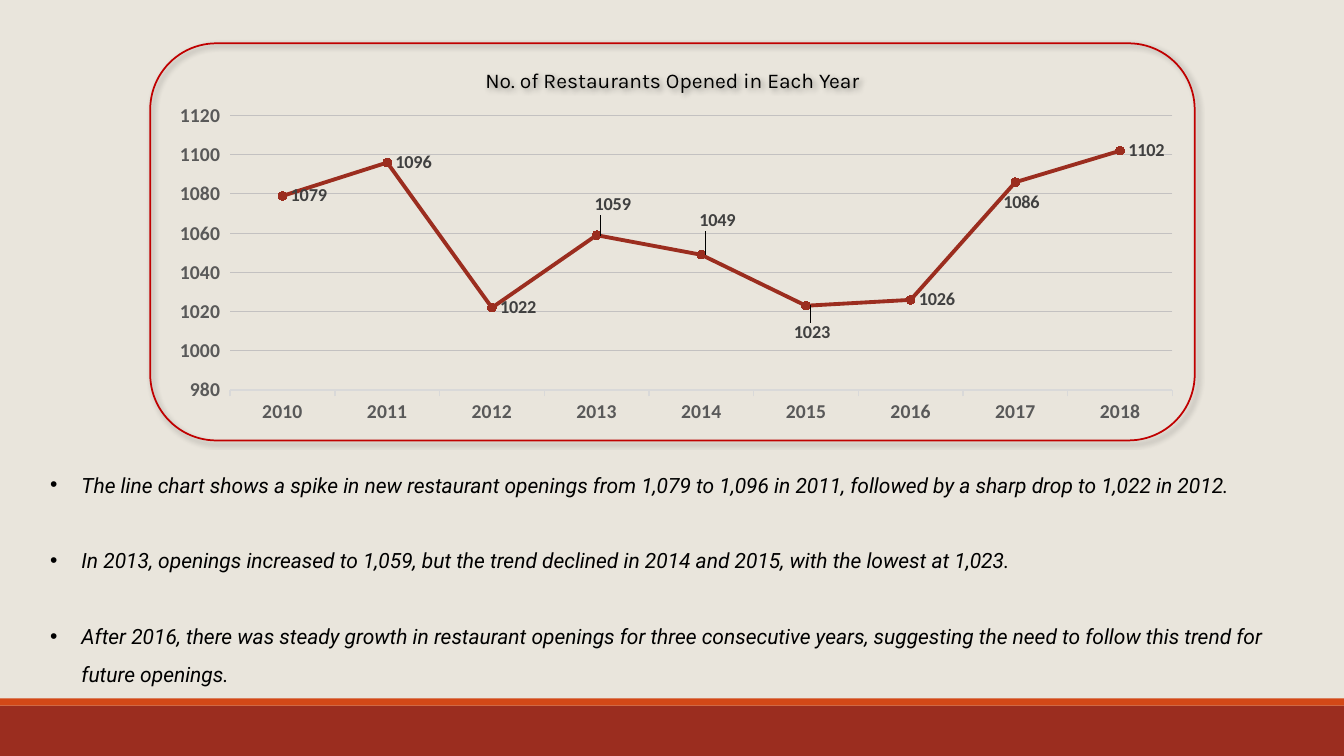
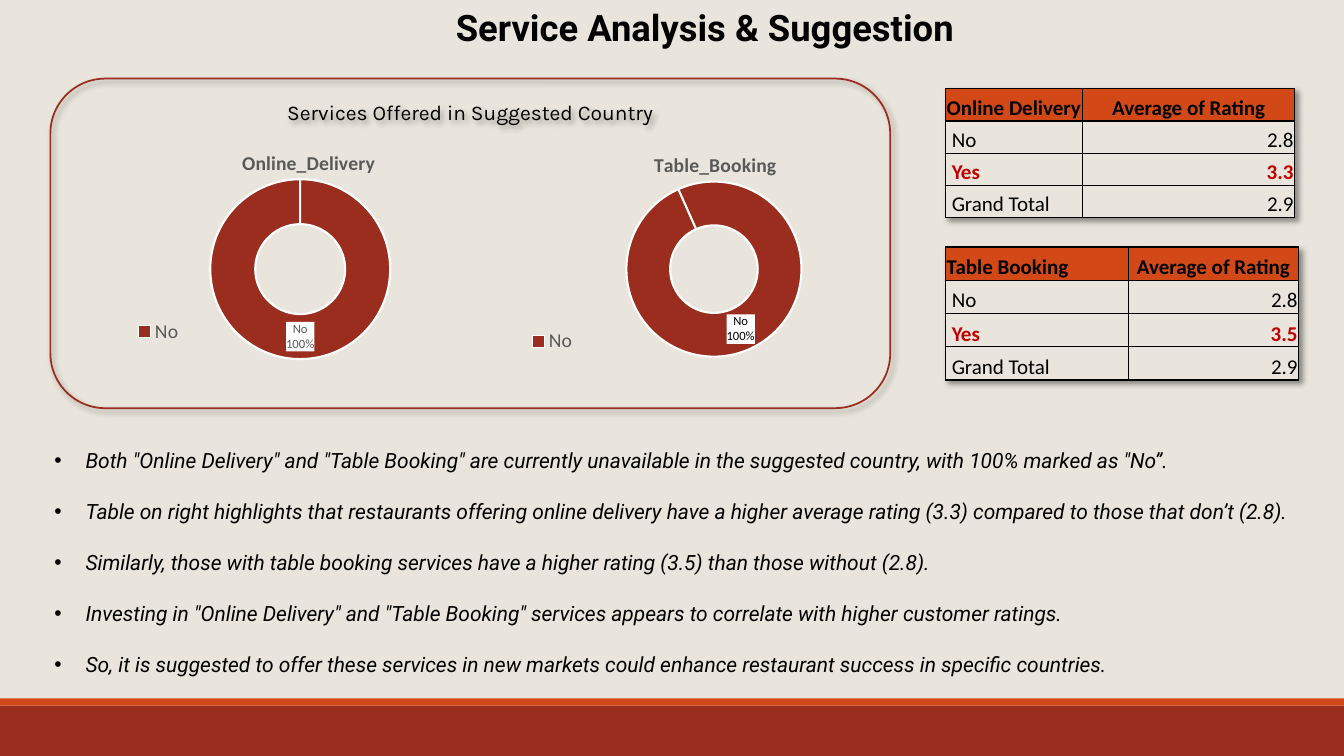
from lxml import etree
from pptx import Presentation
from pptx.chart.data import CategoryChartData
from pptx.dml.color import RGBColor
from pptx.enum.chart import XL_CHART_TYPE as Chart, XL_LABEL_POSITION as LabelSpot
from pptx.enum.chart import XL_LEGEND_POSITION as LegendSpot, XL_MARKER_STYLE as Marker
from pptx.enum.chart import XL_TICK_MARK as Tick
from pptx.enum.shapes import MSO_SHAPE as Shape
from pptx.enum.text import MSO_ANCHOR as Anchor, PP_ALIGN as Align
from pptx.oxml import parse_xml
from pptx.oxml.ns import nsdecls, qn
from pptx.util import Inches, Pt

WIDTH, HEIGHT = 13.33, 7.5
COLORS = {
    "paper": "E9E5DC", "brick": "9B2D1F", "orange": "D34817", "red": "C00000",
    "marker": "A12819", "ink": "000000", "gray": "595959", "label": "404040",
    "grid": "C3C1C1", "axis": "D9D9D9", "white": "FFFFFF",
}
BANDS = [(7, 0.5, "brick"), (6.93, 0.07, "orange")]

OPENINGS_TITLE = "No. of Restaurants Opened in Each Year"
OPENINGS = {
    "2010": 1079, "2011": 1096, "2012": 1022, "2013": 1059, "2014": 1049,
    "2015": 1023, "2016": 1026, "2017": 1086, "2018": 1102,
}
LABEL_SHIFTS = {"2013": (-0.01, -0.09), "2014": (-0.01, -0.1),
                "2015": (-0.02, 0.08), "2017": (-0.02, 0.06)}
OPENINGS_NOTES = [
    "The line chart shows a spike in new restaurant openings from 1,079 to 1,096 in 2011, followed by a sharp drop to 1,022 in 2012.",
    "In 2013, openings increased to 1,059, but the trend declined in 2014 and 2015, with the lowest at 1,023.",
    "After 2016, there was steady growth in restaurant openings for three consecutive years, suggesting the need to follow this trend for future openings.",
]

SERVICE_HEADING = "Service Analysis & Suggestion"
SERVICE_TITLE = "Services Offered in Suggested Country"
SERVICES = [
    dict(name="Online_Delivery", left=1.07, plot=(0.27, 0.18, 0.52, 0.75), start=0,
         title=(0.36, 0.04), legend=(0.07, 0.76, 0.14, 0.11), label="gray"),
    dict(name="Table_Booking", left=5.12, plot=(0.29, 0.19, 0.51, 0.73), start=336,
         title=(0.37, 0.05), legend=(0.03, 0.8, 0.14, 0.11), label="ink"),
]
RATINGS = [
    dict(service="Online Delivery", top=0.88, columns=(1.36, 2.1), row=0.32,
         ratings=[("No", "2.8"), ("Yes", "3.3"), ("Grand Total", "2.9")]),
    dict(service="Table Booking", top=2.45, columns=(1.81, 1.69), row=0.33,
         ratings=[("No", "2.8"), ("Yes", "3.5"), ("Grand Total", "2.9")]),
]
SERVICE_NOTES = [
    "Both \"Online Delivery\" and \"Table Booking\" are currently unavailable in the suggested country, with 100% marked as \"No”.",
    "Table on right highlights that restaurants offering online delivery have a higher average rating (3.3) compared to those that don’t (2.8).",
    "Similarly, those with table booking services have a higher rating (3.5) than those without (2.8).",
    "Investing in \"Online Delivery\" and \"Table Booking\" services appears to correlate with higher customer ratings.",
    "So, it is suggested to offer these services in new markets could enhance restaurant success in specific countries.",
]

SHADOW = (f'<a:effectLst {nsdecls("a")}><a:outerShdw blurRad="50800" dist="38100" dir="2700000" '
          'algn="tl" rotWithShape="0"><a:srgbClr val="000000"><a:alpha val="40000"/></a:srgbClr>'
          '</a:outerShdw></a:effectLst>')


def rgb(name):
    return RGBColor.from_string(COLORS[name])


def paint(fill, color):
    fill.solid()
    fill.fore_color.rgb = rgb(color)


def box(left, top, width, height):
    return [Inches(v) for v in (left, top, width, height)]


def style(font, size, color="ink", face="Calibri", bold=False, italic=False):
    font.size, font.name, font.bold, font.italic = Pt(size), face, bold, italic
    font.color.rgb = rgb(color)


def write(frame, text, align=Align.LEFT, bullet=False, gap=0, spacing=None, **look):
    lines = [text] if isinstance(text, str) else text
    for i, line in enumerate(lines):
        paragraph = frame.add_paragraph() if i else frame.paragraphs[0]
        paragraph.alignment = align
        if bullet:
            props = paragraph._p.get_or_add_pPr()
            props.set("marL", str(Inches(0.31)))
            props.set("indent", str(-Inches(0.31)))
            face = etree.SubElement(props, qn("a:buFont"))
            face.set("typeface", "Arial")
            etree.SubElement(props, qn("a:buChar")).set("char", "•")
        if spacing:
            paragraph.line_spacing = spacing
        if i and gap:
            paragraph.space_before = Pt(gap)
        run = paragraph.add_run()
        run.text = line
        style(run.font, **look)


def text_box(slide, area, text, **look):
    frame = slide.shapes.add_textbox(*box(*area)).text_frame
    frame.word_wrap = True
    write(frame, text, **look)


def notes(slide, area, lines, **look):
    text_box(slide, area, lines, bullet=True, size=15, face="Roboto", italic=True, **look)


def new_slide(deck):
    slide = deck.slides.add_slide(deck.slide_layouts[6])
    paint(slide.background.fill, "paper")
    for top, height, color in BANDS:
        band = slide.shapes.add_shape(Shape.RECTANGLE, *box(0, top, WIDTH, height))
        band.shadow.inherit = False
        paint(band.fill, color)
        band.line.fill.background()
    return slide


def panel(slide, area, title, color):
    frame = slide.shapes.add_shape(Shape.ROUNDED_RECTANGLE, *box(*area))
    frame.fill.background()
    frame.line.color.rgb = rgb(color)
    frame.line.width = Pt(1.25)
    frame._element.spPr.append(parse_xml(SHADOW))
    frame.text_frame.vertical_anchor = Anchor.TOP
    write(frame.text_frame, title, align=Align.CENTER, size=15, face="Karla")


def lay_out(part, index, values, inner=False, edge=True):
    for old in part.findall(qn("c:layout")):
        part.remove(old)
    layout = etree.Element(qn("c:layout"))
    manual = etree.SubElement(layout, qn("c:manualLayout"))
    settings = [("layoutTarget", "inner")] if inner else []
    if edge:
        settings += [("xMode", "edge"), ("yMode", "edge")]
    settings += zip("xywh", values)
    for tag, value in settings:
        etree.SubElement(manual, qn(f"c:{tag}")).set("val", str(value))
    part.insert(index, layout)


def add_chart(slide, kind, area, values, plot):
    data = CategoryChartData()
    data.categories = list(values)
    data.add_series("Series 1", list(values.values()))
    chart = slide.shapes.add_chart(kind, *box(*area), data).chart
    chart.has_legend = chart.has_title = False
    style(chart.font, 10)
    lay_out(chart._chartSpace.chart.plotArea, 0, plot, inner=True)
    chart.plots[0].vary_by_categories = False
    return chart, chart.plots[0].series[0]


def openings_chart(slide):
    chart, line = add_chart(slide, Chart.LINE_MARKERS, (1.73, 0.98, 10.05, 3.39),
                            OPENINGS, (0.055, 0.049, 0.93, 0.804))
    years, count = chart.category_axis, chart.value_axis
    for axis in (years, count):
        style(axis.tick_labels.font, 14, "gray", bold=True)
        axis.major_tick_mark = Tick.OUTSIDE
    years.format.line.color.rgb = rgb("axis")
    years.format.line.width = Pt(1)
    count.format.line.fill.background()
    count.minimum_scale, count.maximum_scale, count.major_unit = 980, 1120, 20
    count.major_gridlines.format.line.color.rgb = rgb("grid")
    count.major_gridlines.format.line.width = Pt(0.75)

    line.smooth = False
    line.format.line.color.rgb = rgb("brick")
    line.format.line.width = Pt(2.75)
    line.marker.style, line.marker.size = Marker.CIRCLE, 6
    paint(line.marker.format.fill, "marker")
    line.marker.format.line.color.rgb = rgb("marker")
    labels = line.data_labels
    labels.show_value = True
    labels.position = LabelSpot.RIGHT
    style(labels.font, 13, "label", bold=True)
    for i, year in enumerate(OPENINGS):
        if year in LABEL_SHIFTS:
            label = line.points[i].data_label
            style(label.font, 13, "label", bold=True)
            label.position = LabelSpot.RIGHT
            item = labels._element.xpath(f"c:dLbl[c:idx/@val='{i}']")[0]
            lay_out(item, 1, LABEL_SHIFTS[year], edge=False)


def service_chart(slide, service):
    chart, ring = add_chart(slide, Chart.DOUGHNUT, (service["left"], 1.35, 3.6, 2.38),
                            {"No": 100}, service["plot"])
    chart.plots[0].vary_by_categories = True
    chart.has_title = chart.has_legend = True
    write(chart.chart_title.text_frame, service["name"], align=Align.CENTER,
          size=14, color="gray", bold=True)
    chart.chart_title.include_in_layout = False
    lay_out(chart.chart_title._element, 1, service["title"])
    chart.legend.position = LegendSpot.RIGHT
    chart.legend.include_in_layout = False
    style(chart.legend.font, 14, "gray")
    lay_out(chart.legend._element, 1, service["legend"])

    doughnut = chart.plots[0]._element
    doughnut.find(qn("c:firstSliceAng")).set("val", str(service["start"]))
    doughnut.find(qn("c:holeSize")).set("val", "75")
    slice_format = ring.points[0].format
    paint(slice_format.fill, "brick")
    slice_format.line.color.rgb = rgb("white")
    slice_format.line.width = Pt(1.5)

    labels = ring.data_labels
    labels.show_value = False
    labels.show_category_name = labels.show_percentage = True
    labels.number_format, labels.number_format_is_linked = "0%", False
    style(labels.font, 9, service["label"])
    labels._element.find(qn("c:txPr")).addprevious(parse_xml(
        f'<c:spPr {nsdecls("c", "a")}><a:solidFill><a:srgbClr val="{COLORS["white"]}"/>'
        '</a:solidFill></c:spPr>'))
    separator = etree.Element(qn("c:separator"))
    separator.text = "\n"
    last_flag = labels._element.xpath("c:showBubbleSize | c:showPercent")[-1]
    last_flag.addnext(separator)


def outline(cell):
    props = cell._tc.get_or_add_tcPr()
    for i, side in enumerate("LRTB"):
        props.insert(i, parse_xml(
            f'<a:ln{side} {nsdecls("a")} w="12700"><a:solidFill>'
            f'<a:srgbClr val="{COLORS["ink"]}"/></a:solidFill></a:ln{side}>'))


def rating_table(slide, service, top, columns, row, ratings):
    rows = [(service, "Average of Rating")] + ratings
    area = box(9.38, top, sum(columns), row * len(rows))
    table = slide.shapes.add_table(len(rows), len(columns), *area).table
    table._tbl.tblPr.insert(0, parse_xml(SHADOW))
    for column, width in zip(table.columns, columns):
        column.width = Inches(width)
    for r, texts in enumerate(rows):
        table.rows[r].height = Inches(row)
        best = texts[0] == "Yes"
        for c, text in enumerate(texts):
            cell = table.cell(r, c)
            cell.vertical_anchor = Anchor.BOTTOM
            cell.margin_left = Inches(0.06 if r and not c else 0.01)
            cell.margin_right = cell.margin_top = Inches(0.01)
            cell.margin_bottom = 0
            outline(cell)
            paint(cell.fill, "paper" if r else "orange")
            side = Align.RIGHT if r else Align.CENTER
            write(cell.text_frame, text, align=side if c else Align.LEFT, size=15,
                  color="red" if best else "ink", bold=best or not r)


def main():
    deck = Presentation()
    deck.slide_width, deck.slide_height = Inches(WIDTH), Inches(HEIGHT)

    slide = new_slide(deck)
    panel(slide, (1.49, 0.43, 10.36, 3.94), OPENINGS_TITLE, "red")
    openings_chart(slide)
    notes(slide, (0.4, 4.51, 12.7, 2.33), OPENINGS_NOTES, spacing=1.5, gap=27)

    slide = new_slide(deck)
    text_box(slide, (3.63, 0, 6.73, 0.54), SERVICE_HEADING, align=Align.CENTER,
             size=26, face="Roboto", bold=True)
    for rating in RATINGS:
        rating_table(slide, **rating)
    panel(slide, (0.5, 0.78, 8.33, 3.27), SERVICE_TITLE, "brick")
    for service in SERVICES:
        service_chart(slide, service)
    notes(slide, (0.44, 4.39, 12.89, 2.37), SERVICE_NOTES, gap=18.4)

    deck.save("out.pptx")


if __name__ == "__main__":
    main()
